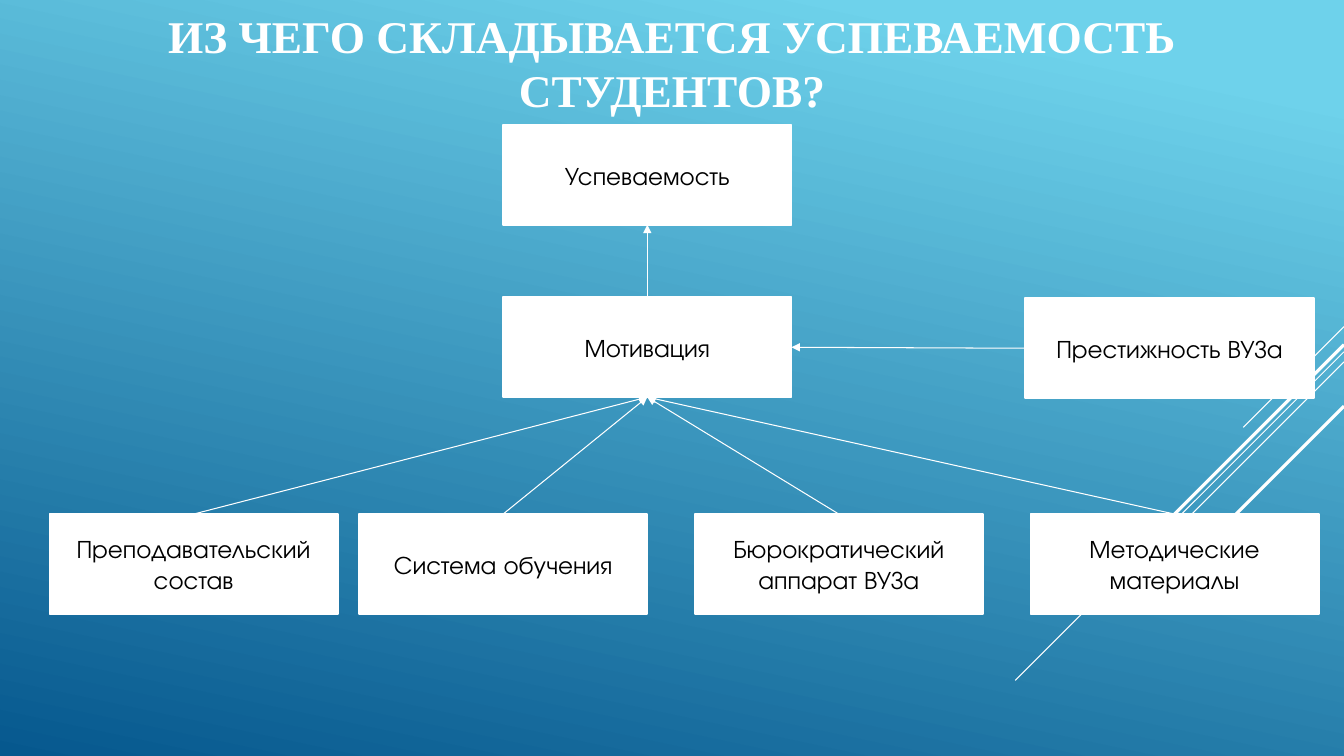
from dataclasses import dataclass

from lxml.etree import SubElement
from pptx import Presentation
from pptx.dml.color import RGBColor
from pptx.enum.shapes import MSO_CONNECTOR, MSO_SHAPE
from pptx.enum.text import MSO_ANCHOR, PP_ALIGN
from pptx.oxml.ns import qn
from pptx.shapes.autoshape import Shape
from pptx.shapes.connector import Connector
from pptx.slide import Slide
from pptx.text.text import TextFrame
from pptx.util import Inches, Pt


@dataclass(frozen=True)
class Theme:
    sky: RGBColor = RGBColor(0x6E, 0xD2, 0xEB)
    deep: RGBColor = RGBColor(0x06, 0x58, 0x8E)
    white: RGBColor = RGBColor(0xFF, 0xFF, 0xFF)
    black: RGBColor = RGBColor(0, 0, 0)
    title_font: str = "Times New Roman"
    body_font: str = "TeX Gyre Adventor"
    title_size: float = 32.4
    body_size: float = 18
    thin: float = 0.75
    border: float = 1.25
    thick: float = 2.25


@dataclass(frozen=True)
class Box:
    text: str
    left: float
    top: float


@dataclass(frozen=True)
class Ray:
    """Diagonal at 45 degrees, falling from the right edge of the slide."""
    top: float
    length: float
    weight: float


@dataclass(frozen=True)
class Arrow:
    source: str
    source_site: int
    target: str
    target_site: int


THEME = Theme()
SLIDE_W, SLIDE_H = 13.33, 7.5
BOX_W, BOX_H = 2.86, 0.99
CENTER_LEFT, FACTOR_TOP = 4.99, 5.1
TOP, LEFT, BOTTOM, RIGHT = range(4)  # connection sites of a rectangle

TITLE = "ИЗ ЧЕГО СКЛАДЫВАЕТСЯ УСПЕВАЕМОСТЬ СТУДЕНТОВ?"
RAYS = [
    Ray(3.24, 1.0, THEME.thin),
    Ray(3.49, 3.26, THEME.thin),
    Ray(3.59, 2.07, THEME.thin),
    Ray(3.42, 1.91, THEME.thick),
    Ray(4.03, 1.39, THEME.thick),
]
RESULT = Box("Успеваемость", CENTER_LEFT, 1.24)
MOTIVATION = Box("Мотивация", CENTER_LEFT, 2.95)
PRESTIGE = Box("Престижность ВУЗа", 10.17, 2.96)
FACTORS = [
    Box("Преподавательский состав", 0.49, FACTOR_TOP),
    Box("Система обучения", 3.56, FACTOR_TOP),
    Box("Бюрократический аппарат ВУЗа", 6.89, FACTOR_TOP),
    Box("Методические материалы", 10.22, FACTOR_TOP),
]
ARROWS = [Arrow(f.text, TOP, MOTIVATION.text, BOTTOM) for f in FACTORS] + [
    Arrow(MOTIVATION.text, TOP, RESULT.text, BOTTOM),
    Arrow(PRESTIGE.text, LEFT, MOTIVATION.text, RIGHT),
]


def set_text(tf: TextFrame, text: str, font: str, size: float,
             color: RGBColor, bold: bool = False) -> None:
    tf.text = text
    tf.word_wrap = True
    tf.vertical_anchor = MSO_ANCHOR.MIDDLE
    p = tf.paragraphs[0]
    p.alignment = PP_ALIGN.CENTER
    r = p.runs[0]
    r.font.name = font
    r.font.size = Pt(size)
    r.font.bold = bold
    r.font.color.rgb = color


def paint_background(s: Slide) -> None:
    fill = s.background.fill
    fill.gradient()
    fill.gradient_angle = 258  # counter-clockwise
    stops = [(0.1, THEME.sky), (1.0, THEME.deep)]
    for stop, (position, color) in zip(fill.gradient_stops, stops):
        stop.position = position
        stop.color.rgb = color


def add_line(s: Slide, x1: float, y1: float, x2: float, y2: float,
             weight: float) -> Connector:
    line = s.shapes.add_connector(
        MSO_CONNECTOR.STRAIGHT, Inches(x1), Inches(y1), Inches(x2), Inches(y2))
    line.line.color.rgb = THEME.white
    line.line.width = Pt(weight)
    SubElement(line._element.spPr, qn("a:effectLst"))
    return line


def add_title(s: Slide) -> None:
    sp = s.shapes.add_textbox(0, 0, Inches(SLIDE_W), Inches(1.24))
    tf = sp.text_frame
    set_text(tf, TITLE, THEME.title_font, THEME.title_size, THEME.white, True)
    tf.margin_left = tf.margin_right = Inches(0.5)


def add_box(s: Slide, box: Box) -> Shape:
    sp = s.shapes.add_shape(MSO_SHAPE.RECTANGLE, Inches(box.left),
                            Inches(box.top), Inches(BOX_W), Inches(BOX_H))
    sp.shadow.inherit = False
    sp.fill.solid()
    sp.fill.fore_color.rgb = THEME.white
    sp.line.color.rgb = THEME.white
    sp.line.width = Pt(THEME.border)
    set_text(sp.text_frame, box.text, THEME.body_font, THEME.body_size,
             THEME.black)
    return sp


def add_arrow(s: Slide, arrow: Arrow, shapes: dict[str, Shape]) -> None:
    line = add_line(s, 0, 0, 0, 0, THEME.thin)
    line.begin_connect(shapes[arrow.source], arrow.source_site)
    line.end_connect(shapes[arrow.target], arrow.target_site)
    SubElement(line.line._get_or_add_ln(), qn("a:tailEnd"), type="triangle")


def main() -> None:
    prs = Presentation()
    prs.slide_width, prs.slide_height = Inches(SLIDE_W), Inches(SLIDE_H)
    s = prs.slides.add_slide(prs.slide_layouts[6])

    # Background with diagonal rays
    paint_background(s)
    for ray in RAYS:
        add_line(s, SLIDE_W, ray.top, SLIDE_W - ray.length,
                 ray.top + ray.length, ray.weight)

    # Title
    add_title(s)

    # Diagram: boxes, then the arrows that join them
    boxes = [RESULT, MOTIVATION, PRESTIGE, *FACTORS]
    shapes = {box.text: add_box(s, box) for box in boxes}
    for arrow in ARROWS:
        add_arrow(s, arrow, shapes)

    prs.save("out.pptx")


if __name__ == "__main__":
    main()
